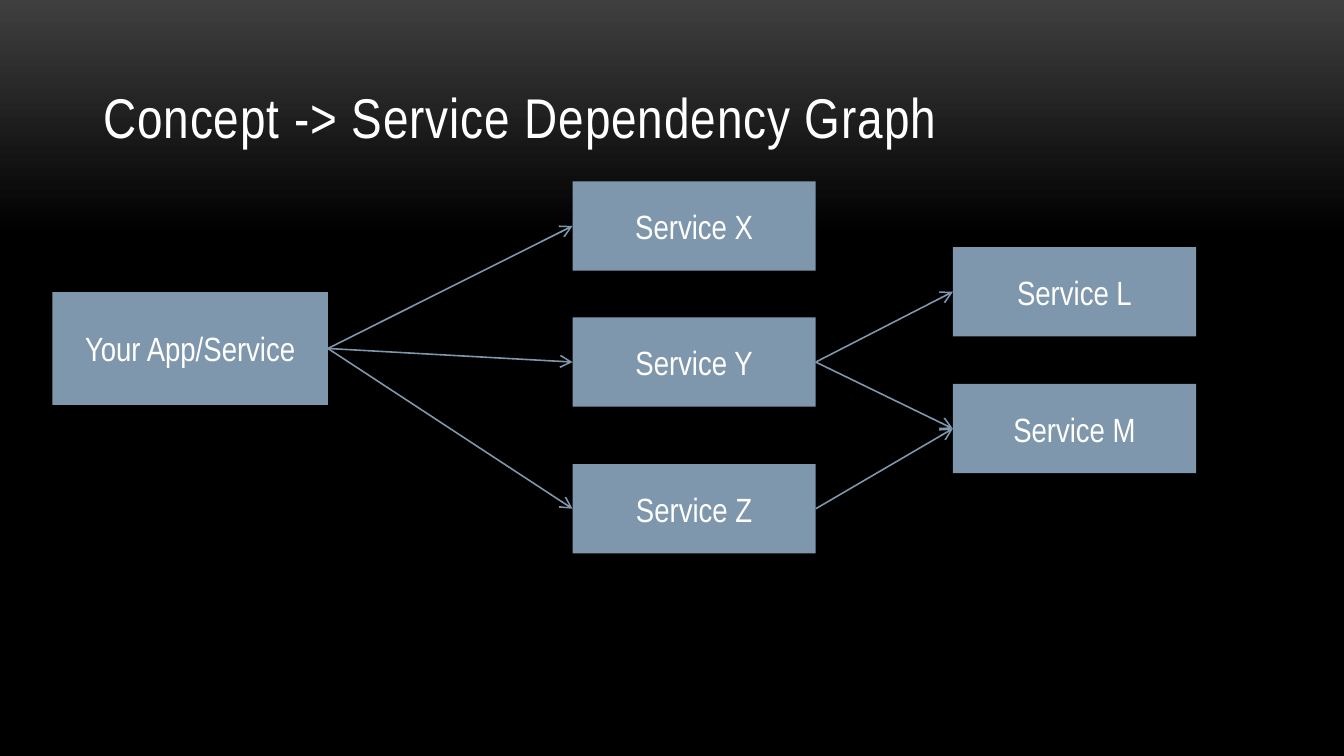
from copy import deepcopy

from pptx import Presentation
from pptx.dml.color import RGBColor
from pptx.enum.shapes import MSO_CONNECTOR as Connector, MSO_SHAPE as Shape
from pptx.enum.text import MSO_ANCHOR as Anchor, PP_ALIGN as Align
from pptx.oxml.ns import qn
from pptx.oxml.xmlchemy import OxmlElement
from pptx.util import Inches, Pt

COLORS = {"glow": "3F3F3F", "black": "000000", "box": "7E97AD", "text": "FFFFFF"}
FONT = "Arial Narrow"
LEFT_SITE, RIGHT_SITE = 1, 3

# A 16:9 slide
presentation = Presentation()
presentation.slide_width = Inches(10)
presentation.slide_height = presentation.slide_width * 9 // 16
slide = presentation.slides.add_slide(presentation.slide_layouts[6])

# One percent of the slide in each direction
column = presentation.slide_width / 100
row = presentation.slide_height / 100


def write(shape, text, size, anchor, align):
    frame = shape.text_frame
    frame.text = text
    frame.word_wrap = True
    frame.vertical_anchor = anchor
    paragraph = frame.paragraphs[0]
    paragraph.alignment = align
    font = paragraph.runs[0].font
    font.name, font.size = FONT, Pt(size)
    font.color.rgb = RGBColor.from_string(COLORS["text"])


# Background: a glow at the top that fades to black
fill = slide.background.fill
fill.gradient()
fill.gradient_angle = 270
for stop, position, color in zip(fill.gradient_stops, (0, 0.31), ("glow", "black")):
    stop.position = position
    stop.color.rgb = RGBColor.from_string(COLORS[color])
stop_list = slide.element.find(".//" + qn("a:gsLst"))
last_stop = deepcopy(stop_list[-1])
last_stop.set("pos", "100000")
stop_list.append(last_stop)

# Title
title = slide.shapes.add_textbox(
    int(6.7 * column), int(4 * row), int(86.7 * column), int(16.7 * row))
write(title, "Concept -> Service Dependency Graph", 30, Anchor.BOTTOM, Align.LEFT)
title.text_frame.paragraphs[0].runs[0].font._element.set("spc", "50")

# Service boxes: left, width, height, then the middle of each box in that column
levels = [
    (3.9, 20.5, 14.9, {"Your App/Service": 46.1}),
    (42.6, 18.1, 11.8, {"Service X": 29.9, "Service Y": 47.9, "Service Z": 67.3}),
    (70.9, 18.1, 11.8, {"Service L": 38.6, "Service M": 56.7}),
]
boxes = {}
for left, width, height, services in levels:
    for name, middle in services.items():
        box = slide.shapes.add_shape(
            Shape.RECTANGLE, int(left * column), int((middle - height / 2) * row),
            int(width * column), int(height * row))
        box.shadow.inherit = False
        box.fill.solid()
        box.fill.fore_color.rgb = RGBColor.from_string(COLORS["box"])
        box.line.fill.background()
        write(box, name, 18, Anchor.MIDDLE, Align.CENTER)
        boxes[name] = box

# Dependency arrows
dependencies = {
    "Your App/Service": ["Service X", "Service Y", "Service Z"],
    "Service Y": ["Service L", "Service M"],
    "Service Z": ["Service M"],
}
for source, targets in dependencies.items():
    for target in targets:
        arrow = slide.shapes.add_connector(Connector.STRAIGHT, 0, 0, 0, 0)
        arrow.begin_connect(boxes[source], RIGHT_SITE)
        arrow.end_connect(boxes[target], LEFT_SITE)
        arrow.line.width = Pt(0.85)
        arrow.line.color.rgb = RGBColor.from_string(COLORS["box"])
        head = OxmlElement("a:tailEnd")
        head.set("type", "arrow")
        arrow.line._get_or_add_ln().append(head)
        arrow._element.spPr.append(OxmlElement("a:effectLst"))

presentation.save("out.pptx")
